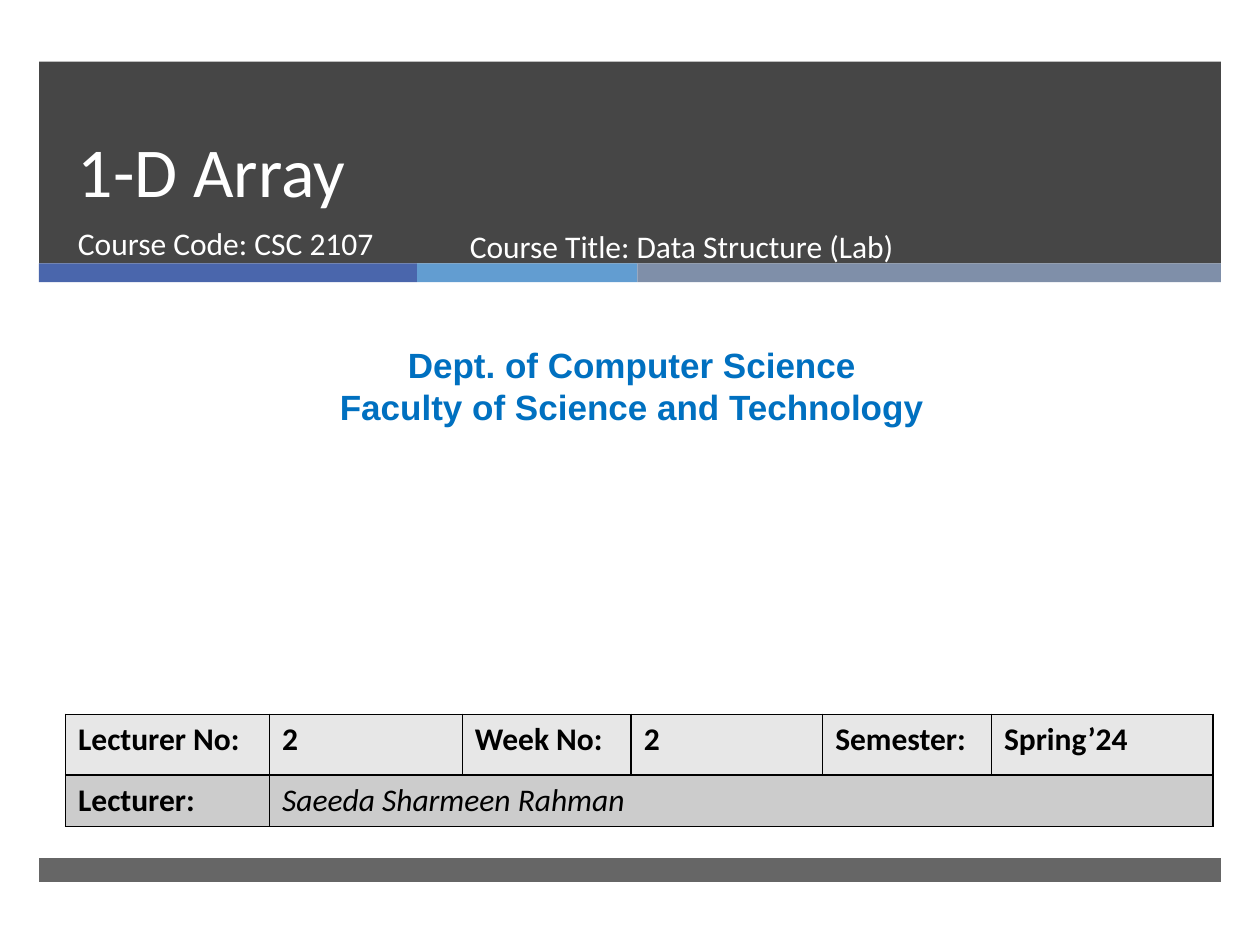
from itertools import accumulate

from lxml import etree
from pptx import Presentation
from pptx.dml.color import RGBColor
from pptx.enum import shapes, text
from pptx.oxml import ns
from pptx.util import Inches, Pt

COLORS = {
    "dark": "262626", "indigo": "4A66AC", "sky": "629DD1", "slate": "7F8FA9",
    "white": "FFFFFF", "blue": "0070C0", "black": "000000",
    "header": "E7E7E7", "row": "CCCCCC",
}
TITLE = {"name": "Calibri", "size": Pt(40), "color": "white"}
COURSE = {"name": "Calibri", "size": Pt(18), "color": "white"}
DEPARTMENT = {"name": "Arial", "size": Pt(20), "bold": True, "color": "blue"}
LABEL = {"name": "Calibri", "size": Pt(18), "bold": True, "color": "black"}
LECTURER = {**LABEL, "bold": False, "italic": True}


def rgb(key):
    """Return the palette colour for a key."""
    return RGBColor.from_string(COLORS[key])


def write(frame, lines, font_format, paragraph_format=None):
    """Fill a text frame with one formatted paragraph per line."""
    for index, line in enumerate(lines):
        paragraph = frame.add_paragraph() if index else frame.paragraphs[0]
        for key, value in (paragraph_format or {}).items():
            setattr(paragraph, key, value)
        run = paragraph.add_run()
        run.text = line
        for key, value in font_format.items():
            if key == "color":
                run.font.color.rgb = rgb(value)
            else:
                setattr(run.font, key, value)


def add_label(slide, box, lines, font_format, paragraph_format=None, **frame_format):
    """Place a wrapped text box."""
    frame = slide.shapes.add_textbox(*map(Inches, box)).text_frame
    for key, value in {"word_wrap": True, **frame_format}.items():
        setattr(frame, key, value)
    write(frame, lines, font_format, paragraph_format)


def add_band(slide, box, color, opacity=100):
    """Place a borderless rectangle with the given opacity in percent."""
    band = slide.shapes.add_shape(shapes.MSO_SHAPE.RECTANGLE, *map(Inches, box))
    band.shadow.inherit = False
    band.fill.solid()
    band.fill.fore_color.rgb = rgb(color)
    band.line.fill.background()
    if opacity < 100:
        tint = band.fill._xPr.find(".//" + ns.qn("a:srgbClr"))
        etree.SubElement(tint, ns.qn("a:alpha"), val=str(opacity * 1000))


def add_header(slide, left, top, width, height):
    """Build the dark title block with its three-colour stripe."""
    stripe_height = 0.15
    stripe_top = top + height - stripe_height
    add_band(slide, (left, top, width, height - stripe_height), "dark", 85)
    widths = [3, 1.75, width - 4.75]
    starts = accumulate(widths[:-1], initial=left)
    for start, part, color in zip(starts, widths, ("indigo", "sky", "slate")):
        add_band(slide, (start, stripe_top, part, stripe_height), color)
    add_label(slide, (left + 0.21, top + 0.05, 8.54, 1.19), ["1-D Array"], TITLE,
              {"line_spacing": Pt(46)}, vertical_anchor=text.MSO_ANCHOR.BOTTOM)
    add_label(slide, (left + 0.21, top + 1.24, 3.05, 0.53),
              ["Course Code: CSC 2107"], COURSE)
    add_label(slide, (left + 3.32, top + 1.26, 4.55, 0.53),
              ["Course Title: Data Structure (Lab)"], COURSE)


def add_department(slide, left, top, width, height):
    """Build the centred department lines."""
    add_label(slide, (left, top, width, height),
              ["Dept. of Computer Science", "Faculty of Science and Technology"],
              DEPARTMENT, {"alignment": text.PP_ALIGN.CENTER})


def add_borders(cell):
    """Draw a thin black line on each side of a cell."""
    properties = cell._tc.get_or_add_tcPr()
    for index, side in enumerate(("lnL", "lnR", "lnT", "lnB")):
        line = etree.Element(ns.qn("a:" + side), w=str(Pt(1)))
        fill = etree.SubElement(line, ns.qn("a:solidFill"))
        etree.SubElement(fill, ns.qn("a:srgbClr"), val=COLORS["black"])
        properties.insert(index, line)


def add_lecture_table(slide, left, top, width, height):
    """Build the lecture details table."""
    rows = [["Lecturer No:", "2", "Week No:", "2", "Semester:", "Spring’24"],
            ["Lecturer:", "Saeeda Sharmeen Rahman"]]
    box = map(Inches, (left, top, width, height))
    table = slide.shapes.add_table(2, 6, *box).table
    for column, size in zip(table.columns, (1.62, 1.53, 1.34, 1.52, 1.34, 1.76)):
        column.width = Inches(size)
    for row, size in zip(table.rows, (0.48, 0.41)):
        row.height = Inches(size)
    table.cell(1, 1).merge(table.cell(1, 5))
    for row, color in zip(table.rows, ("header", "row")):
        for cell in row.cells:
            cell.fill.solid()
            cell.fill.fore_color.rgb = rgb(color)
            add_borders(cell)
    for r, values in enumerate(rows):
        for c, value in enumerate(values):
            style = LECTURER if (r, c) == (1, 1) else LABEL
            write(table.cell(r, c).text_frame, [value], style)


def main():
    """Build and save the slide."""
    deck = Presentation()
    deck.slide_width, deck.slide_height = Inches(10), Inches(7.5)
    slide = deck.slides.add_slide(deck.slide_layouts[6])
    add_header(slide, 0.31, 0.49, 9.38, 1.75)
    add_band(slide, (0.31, 6.81, 9.38, 0.19), "dark", 70)
    add_department(slide, 0.08, 2.68, 9.87, 0.77)
    add_lecture_table(slide, 0.52, 5.67, 9.12, 0.89)
    deck.save("out.pptx")


if __name__ == "__main__":
    main()
